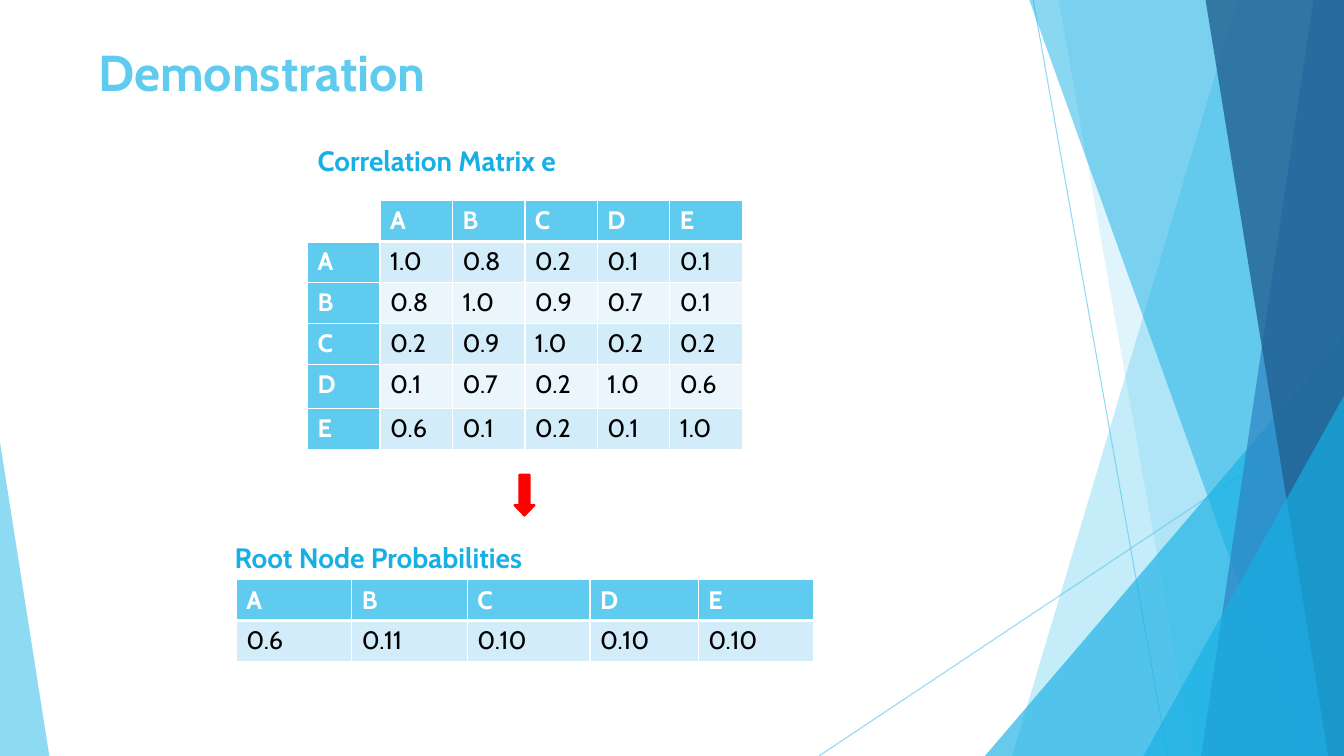
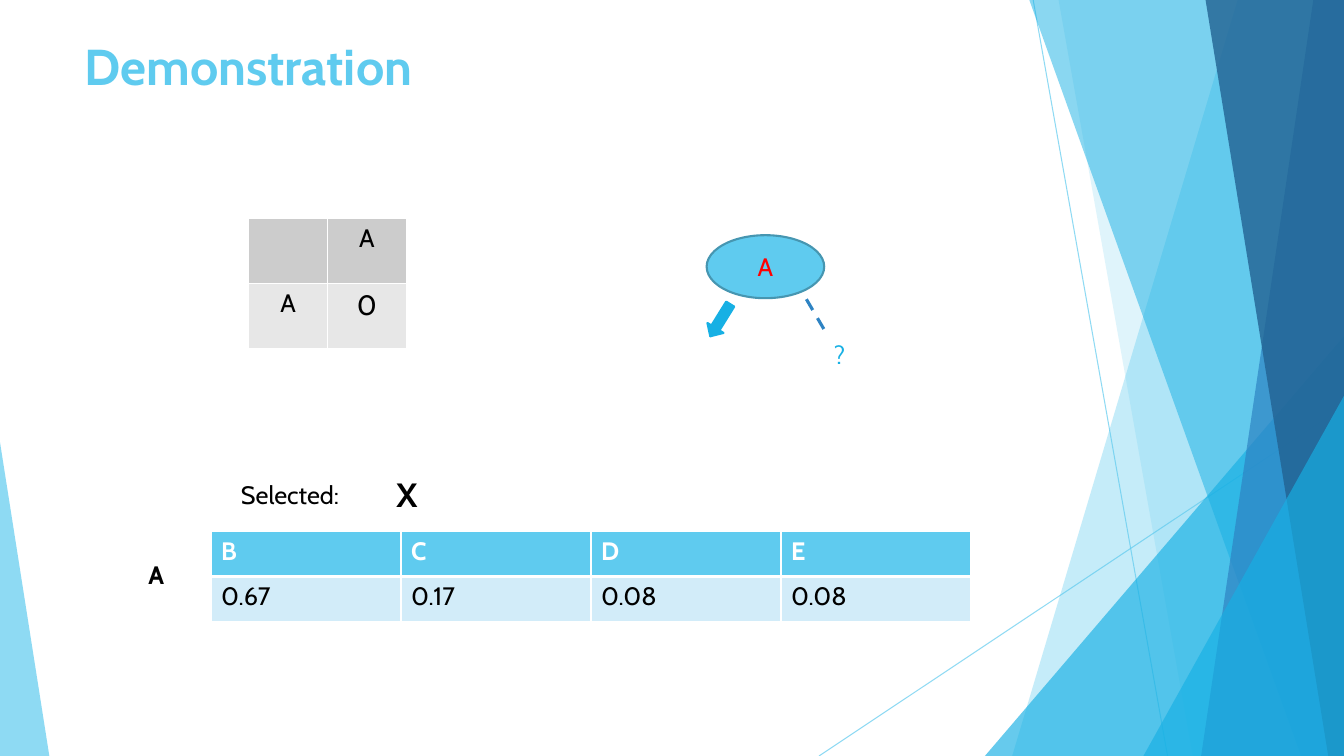
import pptx
import pptx.dml.color
import pptx.enum.dml
import pptx.enum.shapes
import pptx.enum.text
import pptx.oxml
import pptx.oxml.ns
import pptx.util

RGBColor = pptx.dml.color.RGBColor
Shape = pptx.enum.shapes.MSO_SHAPE
Align = pptx.enum.text.PP_ALIGN
Anchor = pptx.enum.text.MSO_ANCHOR
Pt = pptx.util.Pt
qn = pptx.oxml.ns.qn

WHITE = RGBColor(0xFF, 0xFF, 0xFF)
BLACK = RGBColor(0x00, 0x00, 0x00)
RED = RGBColor(0xFF, 0x00, 0x00)
SKY = RGBColor(0x5F, 0xCB, 0xEF)
CYAN = RGBColor(0x17, 0xB0, 0xE4)
BLUE = RGBColor(0x2E, 0x83, 0xC3)
NAVY = RGBColor(0x22, 0x62, 0x92)
OUTLINE = RGBColor(0x46, 0x96, 0xB1)
BAND_DARK = RGBColor(0xD2, 0xEC, 0xF9)
BAND_LIGHT = RGBColor(0xEA, 0xF6, 0xFC)
GREY_DARK = RGBColor(0xCC, 0xCC, 0xCC)
GREY_LIGHT = RGBColor(0xE7, 0xE7, 0xE7)

FONT = "Cabin"
PX = 9525
WIDTH, HEIGHT = 1280, 720

TITLE_FORMAT = {"size": Pt(36), "bold": True, "color": SKY}
HEADING_FORMAT = {"size": Pt(20), "bold": True, "color": CYAN}
BODY_FORMAT = {"size": Pt(18), "bold": False, "color": BLACK}
HEADER_FORMAT = {"size": Pt(18), "bold": True, "color": WHITE}

# Backdrop pieces from back to front
RAYS = [((984, 0), (1112, 720)), ((1280, 387), (780, 720))]
BACKDROP = [
    # band: x of its left edge at the top and at the bottom
    ("band", (1179, 964), SKY, 36),
    ("band", (1008, 1136), SKY, 20),
    # triangle: left, top, width, position of its apex
    ("triangle", (938, 320, 342, 1), CYAN, 66),
    ("band", (980, 1239), CYAN, 50),
    ("band", (1251, 1144), BLUE, 70),
    ("band", (1148, 1265), NAVY, 80),
    ("triangle", (1089, 377, 191, 1), CYAN, 66),
    ("triangle", (0, 421, 47, 0), SKY, 70),
]

BLUE_STYLE = {"header": SKY, "bands": (BAND_DARK, BAND_LIGHT), "header_format": HEADER_FORMAT,
              "align": Align.LEFT, "header_rule": 3}
GREY_STYLE = {"header": GREY_DARK, "bands": (GREY_LIGHT,), "header_format": BODY_FORMAT,
              "align": Align.CENTER, "header_rule": 1}

CORRELATIONS = [
    ["", "A", "B", "C", "D", "E"],
    ["A", "1.0", "0.8", "0.2", "0.1", "0.1"],
    ["B", "0.8", "1.0", "0.9", "0.7", "0.1"],
    ["C", "0.2", "0.9", "1.0", "0.2", "0.2"],
    ["D", "0.1", "0.7", "0.2", "1.0", "0.6"],
    ["E", "0.6", "0.1", "0.2", "0.1", "1.0"],
]
ROOT_PROBABILITIES = [["A", "B", "C", "D", "E"], ["0.6", "0.11", "0.10", "0.10", "0.10"]]
NEXT_PROBABILITIES = [["B", "C", "D", "E"], ["0.67", "0.17", "0.08", "0.08"]]
ADJACENCY = [["", "A"], ["A", "0"]]


def px(*lengths):
    return [round(length * PX) for length in lengths]


def write(text_frame, text, text_format, align=Align.LEFT, anchor=Anchor.TOP):
    text_frame.word_wrap = True
    text_frame.vertical_anchor = anchor
    paragraph = text_frame.paragraphs[0]
    paragraph.alignment = align
    run = paragraph.add_run()
    run.text = text
    run.font.name = FONT
    for name, value in text_format.items():
        if name == "color":
            run.font.color.rgb = value
        else:
            setattr(run.font, name, value)


def paint(shape, fill, line=None, alpha=None):
    """Set fill, 1.5 pt outline and opacity in percent, without shadow."""
    shape.shadow.inherit = False
    shape.fill.solid()
    shape.fill.fore_color.rgb = fill
    if line is None:
        shape.line.fill.background()
    else:
        shape.line.color.rgb = line
        shape.line.width = Pt(1.5)
    set_alpha(shape, alpha)


def set_alpha(shape, alpha):
    if alpha is not None:
        for color in shape.element.spPr.iter(qn("a:srgbClr")):
            color.append(pptx.oxml.parse_xml(
                f'<a:alpha {pptx.oxml.ns.nsdecls("a")} val="{alpha * 1000}"/>'))


def add_line(slide, start, end, color, width, alpha=None, dash=None):
    line = slide.shapes.add_connector(
        pptx.enum.shapes.MSO_CONNECTOR.STRAIGHT, *px(*start, *end))
    line.line.color.rgb = color
    line.line.width = Pt(width)
    if dash is not None:
        line.line.dash_style = dash
    set_alpha(line, alpha)
    line.element.spPr.append(pptx.oxml.parse_xml(
        f'<a:effectLst {pptx.oxml.ns.nsdecls("a")}/>'))


def add_backdrop(slide):
    for start, end in RAYS:
        add_line(slide, start, end, SKY, 0.75, alpha=70)
    for kind, geometry, color, alpha in BACKDROP:
        if kind == "band":
            top_x, bottom_x = geometry
            builder = slide.shapes.build_freeform(top_x, -1, scale=PX)
            builder.add_line_segments(
                [(WIDTH, -1), (WIDTH, HEIGHT), (bottom_x, HEIGHT)], close=True)
            shape = builder.convert_to_shape()
        else:
            left, top, width, apex = geometry
            shape = slide.shapes.add_shape(
                Shape.ISOSCELES_TRIANGLE, *px(left, top, width, HEIGHT - top))
            shape.adjustments[0] = apex
        paint(shape, color, alpha=alpha)


def add_demonstration_slide(presentation, title_box):
    slide = presentation.slides.add_slide(presentation.slide_layouts[5])
    add_backdrop(slide)
    title = slide.shapes.title
    title.left, title.top, title.width, title.height = px(*title_box)
    write(title.text_frame, "Demonstration", TITLE_FORMAT)
    return slide


def add_label(slide, box, text, text_format):
    write(slide.shapes.add_textbox(*px(*box)).text_frame, text, text_format)


def add_arrow(slide, box, rotation, color):
    arrow = slide.shapes.add_shape(Shape.LEFT_ARROW, *px(*box))
    arrow.rotation = rotation
    arrow.adjustments[0], arrow.adjustments[1] = 0.5, 0.52
    paint(arrow, color, line=color)


def set_borders(cell, top, bottom):
    properties = cell._tc.get_or_add_tcPr()
    for side, width in (("L", 1), ("R", 1), ("T", top), ("B", bottom)):
        properties.append(pptx.oxml.parse_xml(
            f'<a:ln{side} {pptx.oxml.ns.nsdecls("a")} w="{Pt(width)}"><a:solidFill>'
            f'<a:srgbClr val="{WHITE}"/></a:solidFill></a:ln{side}>'))


def add_grid(slide, corner, rows, widths, heights, style, header_column=False):
    frame = slide.shapes.add_table(
        len(rows), len(widths), *px(*corner, sum(widths), sum(heights)))
    table = frame.table
    table.first_row = table.horz_banding = False
    for column, width in zip(table.columns, px(*widths)):
        column.width = width
    for row, height in zip(table.rows, px(*heights)):
        row.height = height
    rule, bands = style["header_rule"], style["bands"]
    for r, values in enumerate(rows):
        for c, text in enumerate(values):
            cell = table.cell(r, c)
            is_header = r == 0 or (header_column and c == 0)
            set_borders(cell, rule if r == 1 else 1, rule if r == 0 else 1)
            cell.fill.solid()
            cell.fill.fore_color.rgb = style["header"] if is_header else bands[(r - 1) % len(bands)]
            if text:
                write(cell.text_frame, text,
                      style["header_format"] if is_header else BODY_FORMAT, style["align"])
    return table


def build_matrix_slide(presentation):
    slide = add_demonstration_slide(presentation, (84, 34, 831, 80))
    matrix = add_grid(slide, (293, 191), CORRELATIONS, [69] * 6,
                      [39, 39, 39, 39, 42, 39], BLUE_STYLE, header_column=True)
    matrix.cell(0, 0).fill.fore_color.rgb = WHITE
    add_label(slide, (293, 132, 326, 42), "Correlation Matrix e", HEADING_FORMAT)
    add_label(slide, (214, 510, 397, 42), "Root Node Probabilities", HEADING_FORMAT)
    add_grid(slide, (225, 552), ROOT_PROBABILITIES, [110, 110, 117, 103, 110],
             [39] * 2, BLUE_STYLE)
    add_arrow(slide, (480, 462, 39, 19), 270, RED)


def build_selection_slide(presentation):
    slide = add_demonstration_slide(presentation, (71, 29, 902, 138))
    node = slide.shapes.add_shape(Shape.OVAL, *px(673, 224, 112, 60))
    paint(node, SKY, line=OUTLINE)
    write(node.text_frame, "A", {**BODY_FORMAT, "color": RED}, Align.CENTER, Anchor.MIDDLE)
    add_arrow(slide, (668, 296, 36, 18), 301.8, CYAN)
    add_line(slide, (768, 285), (785, 314), BLUE, 2.25,
             dash=pptx.enum.dml.MSO_LINE.DASH)
    add_label(slide, (785, 318, 24, 38), "?", {**BODY_FORMAT, "color": CYAN})

    adjacency = add_grid(slide, (237, 208), ADJACENCY, [75] * 2, [62] * 2, GREY_STYLE, header_column=True)
    adjacency.cell(1, 0).fill.fore_color.rgb = GREY_LIGHT
    adjacency.cell(1, 1).text_frame.paragraphs[0].runs[0].font.size = Pt(20)

    add_label(slide, (220, 452, 129, 38), "Selected:", BODY_FORMAT)
    add_label(slide, (368, 447, 38, 48), "X", {**BODY_FORMAT, "size": Pt(24), "bold": True})
    add_label(slide, (132, 528, 35, 38), "A", {**BODY_FORMAT, "bold": True})
    add_grid(slide, (201, 506), NEXT_PROBABILITIES, [181] * 4, [43] * 2, BLUE_STYLE)


def main():
    presentation = pptx.Presentation()
    presentation.slide_width, presentation.slide_height = px(WIDTH, HEIGHT)
    build_matrix_slide(presentation)
    build_selection_slide(presentation)
    presentation.save("out.pptx")


if __name__ == "__main__":
    main()
